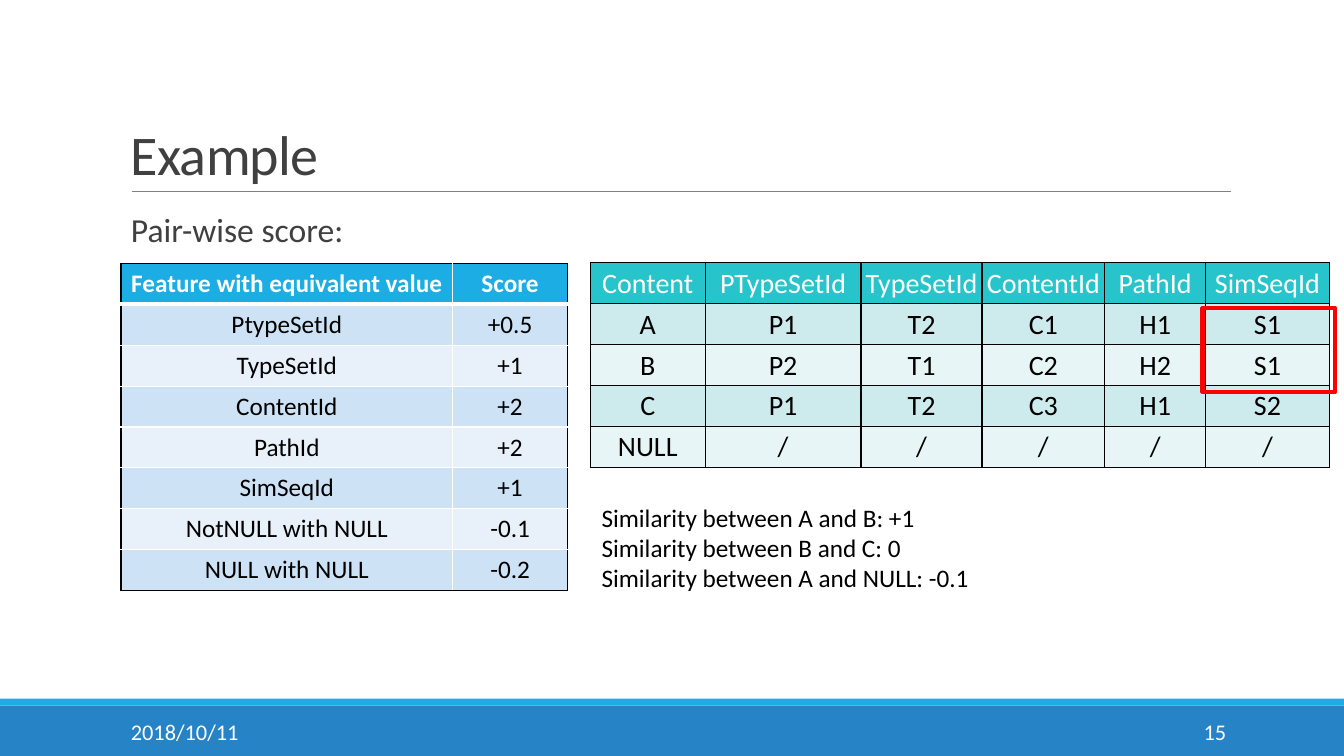
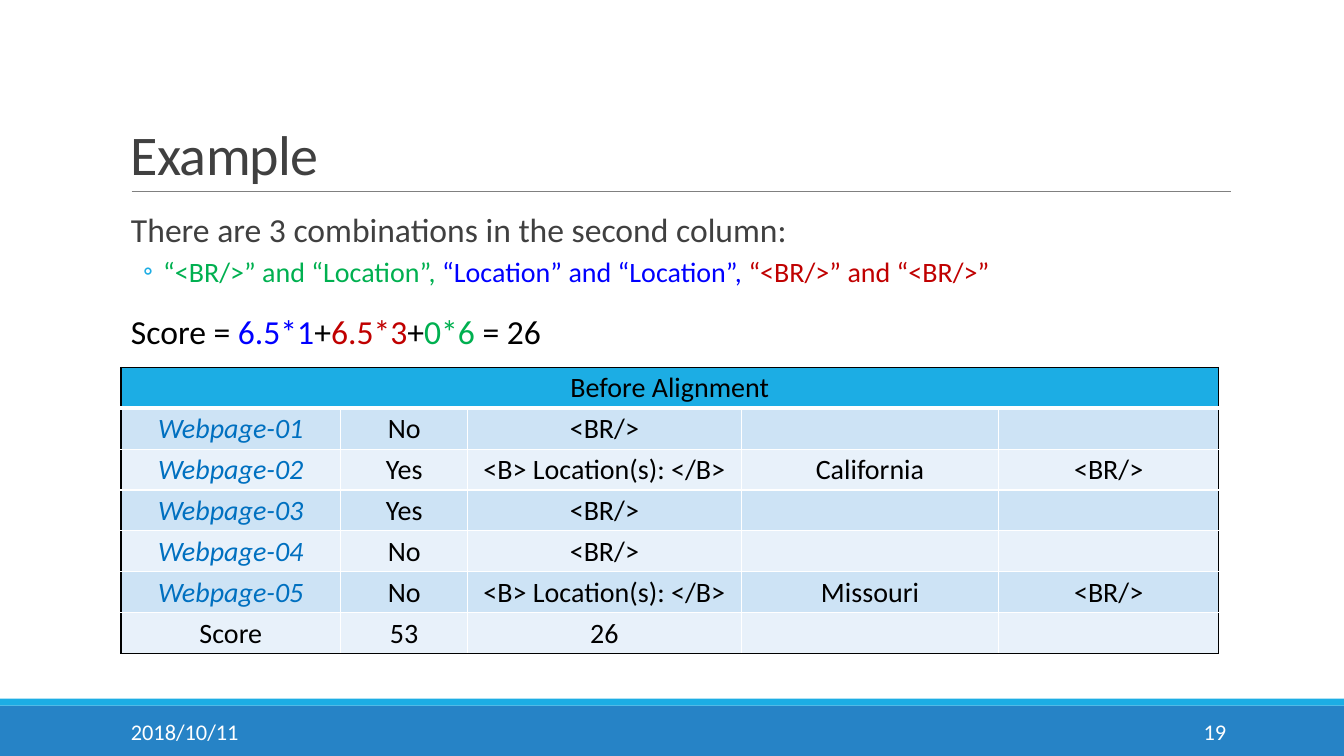
import pptx
import pptx.dml.color
import pptx.enum.shapes
import pptx.enum.text
import pptx.oxml.ns
import pptx.util
from lxml import etree

Pt = pptx.util.Pt
ALIGN = pptx.enum.text.PP_ALIGN
ANCHOR = pptx.enum.text.MSO_ANCHOR
RECTANGLE = pptx.enum.shapes.MSO_SHAPE.RECTANGLE
qn = pptx.oxml.ns.qn

FONT = "Calibri"
WIDTH, HEIGHT = 960, 540
LEFT, CONTENT_WIDTH = 86.4, 792
ROW_HEIGHT = 29.2
TIGHT = (0.72, 0.72, 0.72, 0)
ROOMY = (7.2, 3.6, 7.2, 3.6)
BLACK, WHITE, GRAY = "000000", "FFFFFF", "404040"
SKY, BLUE, RED = "1CADE4", "2683C6", "FF0000"
SAME_TEXT, MIXED, SAME_BREAK = "0000FF", "00B050", "C00000"
SKY_FILLS = (SKY, "CDE3F5", "E8F1FA")
TEAL_FILLS = ("28C4CC", "CDEAEC", "E8F5F6")


def rgb(code):
    """Turn a hex string into a colour."""
    return pptx.dml.color.RGBColor.from_string(code)


def write(para, text, size=18, color=BLACK, bold=False, italic=False, spacing=0):
    """Add a formatted span of text to a paragraph."""
    span = para.add_run()
    span.text = text
    font = span.font
    font.name, font.size, font.bold, font.italic = FONT, Pt(size), bold, italic
    font.color.rgb = rgb(color)
    if spacing:
        span.font._element.set("spc", str(round(spacing * 100)))


def add_box(page, left, top, width, height, anchor=ANCHOR.TOP, insets=ROOMY):
    """Add a wrapping text box and return its text frame."""
    frame = page.shapes.add_textbox(Pt(left), Pt(top), Pt(width), Pt(height)).text_frame
    frame.word_wrap = True
    frame.vertical_anchor = anchor
    set_insets(frame, insets)
    return frame


def set_insets(holder, insets):
    """Set the four inner margins of a text frame or a cell."""
    holder.margin_left, holder.margin_top, holder.margin_right, holder.margin_bottom = map(Pt, insets)


def add_rectangle(page, left, top, width, height, fill=None, line=None, weight=1):
    """Add a plain rectangle with an optional fill and outline."""
    shape = page.shapes.add_shape(RECTANGLE, Pt(left), Pt(top), Pt(width), Pt(height))
    shape.shadow.inherit = False
    if fill:
        shape.fill.solid()
        shape.fill.fore_color.rgb = rgb(fill)
    else:
        shape.fill.background()
    if line:
        shape.line.color.rgb = rgb(line)
        shape.line.width = Pt(weight)
    else:
        shape.line.fill.background()


def add_rule(page, left, top, width):
    """Add the thin line below the title."""
    rule = page.shapes.add_connector(
        pptx.enum.shapes.MSO_CONNECTOR.STRAIGHT, Pt(left), Pt(top), Pt(left + width), Pt(top))
    rule.line.color.rgb = rgb("808080")
    rule.line.width = Pt(0.5)
    etree.SubElement(rule._element.spPr, qn("a:effectLst"))


def add_footer(page, top, number):
    """Draw the bottom bands with the date and the page number."""
    add_rectangle(page, 0, top, WIDTH, HEIGHT - top, fill=BLUE)
    add_rectangle(page, 0, top - 5, WIDTH, 5, fill=SKY)
    parts = (("2018/10/11", LEFT, 194, ALIGN.LEFT), (number, 780, 103, ALIGN.RIGHT))
    for text, left, width, align in parts:
        para = add_box(page, left, top + 4.5, width, 28.8, ANCHOR.MIDDLE).paragraphs[0]
        para.alignment = align
        write(para, text, 16, WHITE)


def add_page(deck, title, number):
    """Add a page with its title, rule and footer."""
    page = deck.slides.add_slide(deck.slide_layouts[6])
    add_footer(page, 504, number)
    add_rule(page, 94, 136.8, 785)
    frame = add_box(page, LEFT, 22.3, CONTENT_WIDTH, 114.5, ANCHOR.BOTTOM)
    frame.paragraphs[0].line_spacing = 0.85
    write(frame.paragraphs[0], title, 40, GRAY, spacing=-0.5)
    return page


def add_body(page, left, top, width, height, paragraphs):
    """Add body text given as levels with lists of text and colour pairs."""
    frame = add_box(page, left, top, width, height, insets=(0, 3.6, 0, 3.6))
    for index, (level, spans) in enumerate(paragraphs):
        para = frame.add_paragraph() if index else frame.paragraphs[0]
        size, before, after, margin = (20, 2, 4, 30.2) if level else (24, 12, 2, 7.2)
        para.space_before, para.space_after = Pt(before), Pt(after)
        props = para._p.get_or_add_pPr()
        props.set("marL", str(Pt(margin)))
        if level:
            props.set("lvl", str(level))
            props.set("indent", str(Pt(-14.4)))
            color = etree.SubElement(props, qn("a:buClr"))
            etree.SubElement(color, qn("a:srgbClr"), val=SKY)
            etree.SubElement(props, qn("a:buFont"), typeface=FONT)
            etree.SubElement(props, qn("a:buChar"), char="◦")
        for text, color in spans:
            write(para, text, size, color)


def set_border(cell, side, color, weight):
    """Draw one side of a cell, named L, R, T or B."""
    line = etree.SubElement(cell._tc.get_or_add_tcPr(), qn("a:ln" + side), w=str(Pt(weight)))
    fill = etree.SubElement(line, qn("a:solidFill"))
    etree.SubElement(fill, qn("a:srgbClr"), val=color)


def add_grid(page, left, top, widths, rows, fills, size=20, insets=TIGHT, header=WHITE,
             bold=False, inner=WHITE, header_line=3, merged=False, links=()):
    """Add a banded table with a black outline, inner lines and a header row."""
    frame = page.shapes.add_table(
        len(rows), len(widths), Pt(left), Pt(top), Pt(sum(widths)), Pt(ROW_HEIGHT * len(rows)))
    table = frame.table
    table.horz_banding = False
    for column, width in zip(table.columns, widths):
        column.width = Pt(width)
    if merged:
        table.cell(0, 0).merge(table.cell(0, len(widths) - 1))
    for y, row in enumerate(rows):
        table.rows[y].height = Pt(ROW_HEIGHT)
        band = fills[0] if y == 0 else fills[2 - y % 2]
        for x in range(len(widths)):
            cell = table.cell(y, x)
            end = x + cell.span_width if cell.is_merge_origin else x + 1
            edges = {"L": x == 0, "R": end == len(widths), "T": y == 0, "B": y == len(rows) - 1}
            for side, outer in edges.items():
                heavy = (side, y) in (("B", 0), ("T", 1))
                set_border(cell, side, BLACK if outer else inner, header_line if heavy else 1)
            cell.fill.solid()
            cell.fill.fore_color.rgb = rgb(band)
            cell.vertical_anchor = ANCHOR.MIDDLE
            set_insets(cell, insets)
            if x < len(row) and row[x]:
                link = x == 0 and y in links
                color = "0070C0" if link else BLACK if y else header
                para = cell.text_frame.paragraphs[0]
                para.alignment = ALIGN.CENTER
                write(para, row[x], size, color, bold and y == 0, link)


def build_scores(deck):
    """Build the page with the pair-wise scores."""
    page = add_page(deck, "Example", "15")
    add_body(page, LEFT, 145.4, CONTENT_WIDTH, 316.8, [(0, [("Pair-wise score:", GRAY)])])
    contents = [
        ("Content", "PTypeSetId", "TypeSetId", "ContentId", "PathId", "SimSeqId"),
        ("A", "P1", "T2", "C1", "H1", "S1"),
        ("B", "P2", "T1", "C2", "H2", "S1"),
        ("C", "P1", "T2", "C3", "H1", "S2"),
        ("NULL",) + ("/",) * 5,
    ]
    add_grid(page, 421.7, 187.7, (82, 111.4, 86.4, 87.6, 72.2, 88.2), contents, TEAL_FILLS,
             inner=BLACK, header_line=1)
    add_rectangle(page, 859, 220.2, 94.5, 59.8, line=RED, weight=3)
    scores = [
        ("Feature with equivalent value", "Score"),
        ("PtypeSetId", "+0.5"),
        ("TypeSetId", "+1"),
        ("ContentId", "+2"),
        ("PathId", "+2"),
        ("SimSeqId", "+1"),
        ("NotNULL with NULL", "-0.1"),
        ("NULL with NULL", "-0.2"),
    ]
    add_grid(page, LEFT, 188.2, (237, 82), scores, SKY_FILLS, size=18, insets=ROOMY, bold=True)
    frame = add_box(page, 422.6, 355, 409, 72.7)
    for index, (pair, score) in enumerate((("A and B", "+1"), ("B and C", "0"), ("A and NULL", "-0.1"))):
        para = frame.add_paragraph() if index else frame.paragraphs[0]
        write(para, f"Similarity between {pair}: {score}")


def build_alignment(deck):
    """Build the page with the column score before alignment."""
    page = add_page(deck, "Example", "19")
    location = "<B> Location(s): </B>"
    rows = [
        ("Before Alignment",),
        ("Webpage-01", "No", "<BR/>"),
        ("Webpage-02", "Yes", location, "California", "<BR/>"),
        ("Webpage-03", "Yes", "<BR/>"),
        ("Webpage-04", "No", "<BR/>"),
        ("Webpage-05", "No", location, "Missouri", "<BR/>"),
        ("Score", "53", "26"),
    ]
    add_grid(page, LEFT, 262.4, (157, 90.7, 195.4, 184, 157), rows, SKY_FILLS,
             header=BLACK, merged=True, links=range(1, 6))
    add_body(page, LEFT + 0, 145.4, CONTENT_WIDTH, 316.8, [
        (0, [("There are 3 combinations in the second column:", GRAY)]),
        (1, [("“<BR/>” and “Location”, ", MIXED),
             ("“Location” and “Location”, ", SAME_TEXT),
             ("“<BR/>” and “<BR/>”", SAME_BREAK)]),
        (0, [("Score = ", BLACK), ("6.5*1", SAME_TEXT), ("+", BLACK), ("6.5*3", SAME_BREAK),
             ("+", BLACK), ("0*6", MIXED), (" = 26", BLACK)]),
    ])


def main():
    """Build the deck and save it."""
    deck = pptx.Presentation()
    deck.slide_width, deck.slide_height = Pt(WIDTH), Pt(HEIGHT)
    build_scores(deck)
    build_alignment(deck)
    deck.save("out.pptx")


if __name__ == "__main__":
    main()
